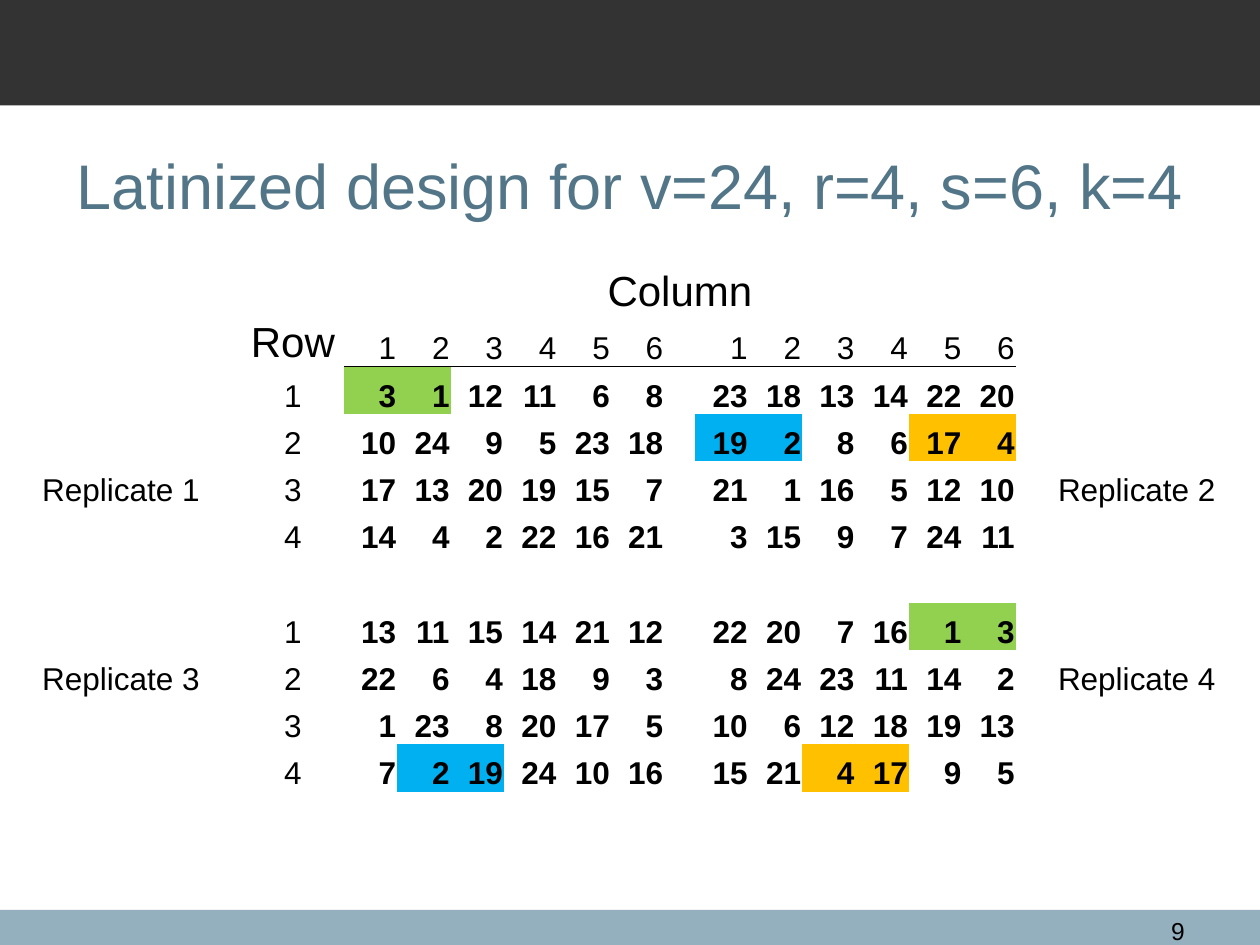
from lxml import etree
from pptx import Presentation
from pptx.dml.color import RGBColor
from pptx.enum.shapes import MSO_SHAPE
from pptx.enum.text import MSO_ANCHOR, PP_ALIGN
from pptx.oxml.ns import qn
from pptx.util import Pt

RECTANGLE = MSO_SHAPE.RECTANGLE
LEFT, CENTER, RIGHT = PP_ALIGN.LEFT, PP_ALIGN.CENTER, PP_ALIGN.RIGHT
TOP, MIDDLE, BOTTOM = MSO_ANCHOR.TOP, MSO_ANCHOR.MIDDLE, MSO_ANCHOR.BOTTOM

BLACK = RGBColor(0x00, 0x00, 0x00)
DARK_GRAY = RGBColor(0x33, 0x33, 0x33)
BLUE_GRAY = RGBColor(0x94, 0xB0, 0xBE)
STEEL_BLUE = RGBColor(0x52, 0x76, 0x88)
GREEN = RGBColor(0x92, 0xD0, 0x50)
BLUE = RGBColor(0x00, 0xB0, 0xF0)
ORANGE = RGBColor(0xFF, 0xC0, 0x00)

NO_STYLE_NO_GRID = "{2D5ABB26-0587-4C30-8999-92F81FD0307C}"

# Each replicate has one line per row of the design.
REPLICATES = [
    ["3 1 12 11 6 8", "10 24 9 5 23 18", "17 13 20 19 15 7", "14 4 2 22 16 21"],
    ["23 18 13 14 22 20", "19 2 8 6 17 4", "21 1 16 5 12 10", "3 15 9 7 24 11"],
    ["13 11 15 14 21 12", "22 6 4 18 9 3", "1 23 8 20 17 5", "7 2 19 24 10 16"],
    ["22 20 7 16 1 3", "8 24 23 11 14 2", "10 6 12 18 19 13", "15 21 4 17 9 5"],
]
# Treatment pairs that are neighbours in more than one replicate
PAIR_COLORS = {
    frozenset(["1", "3"]): GREEN,
    frozenset(["2", "19"]): BLUE,
    frozenset(["4", "17"]): ORANGE,
}
BLOCK_COLUMNS = [2, 9]
BLOCK_ROWS = [2, 7]
LABEL_ROWS = [4, 8]
LABEL_COLUMNS = [0, 15]


def write(frame, text, align, **font_format):
    paragraph = frame.paragraphs[0]
    paragraph.alignment = align
    run = paragraph.add_run()
    run.text = text
    color = font_format.pop("color", BLACK)
    for attribute, value in {"name": "Arial", "size": Pt(18), **font_format}.items():
        setattr(run.font, attribute, value)
    run.font.color.rgb = color


presentation = Presentation()
presentation.slide_width, presentation.slide_height = Pt(720), Pt(540)
slide = presentation.slides.add_slide(presentation.slide_layouts[6])

for top, height, color in [(520, 20, BLUE_GRAY), (0, 60.3, DARK_GRAY)]:
    band = slide.shapes.add_shape(RECTANGLE, 0, Pt(top), Pt(720), Pt(height))
    band.shadow.inherit = False
    band.fill.solid()
    band.fill.fore_color.rgb = color
    band.line.fill.background()

for text, box, anchor, align, size, color in [
    ("Latinized design for v=24, r=4, s=6, k=4", (36.7, 60.5, 648, 90),
     MIDDLE, LEFT, 36, STEEL_BLUE),
    ("9", (638, 520, 46, 17), TOP, RIGHT, 14, BLACK),
]:
    frame = slide.shapes.add_textbox(*map(Pt, box)).text_frame
    frame.word_wrap = True
    frame.vertical_anchor = anchor
    write(frame, text, align, size=Pt(size), color=color)

# Table grid: replicate label, row number, six columns, gap, six columns, label
column_widths = [138.2, 58.3] + [30.55] * 6 + [17.7] + [30.55] * 6 + [138.2]
row_count, row_height = 12, 27
design = slide.shapes.add_table(
    row_count, len(column_widths), 0, Pt(150.5),
    Pt(sum(column_widths)), Pt(row_count * row_height),
).table
design.first_row = design.horz_banding = False
design._tbl.tblPr.find(qn("a:tableStyleId")).text = NO_STYLE_NO_GRID
for column, width in zip(design.columns, column_widths):
    column.width = Pt(width)
for row in design.rows:
    row.height = Pt(row_height)

cell_format = {
    "margin_left": Pt(0.7), "margin_top": Pt(0.7), "margin_right": Pt(0.7),
    "margin_bottom": 0, "vertical_anchor": BOTTOM,
}
for cell in design.iter_cells():
    for attribute, value in cell_format.items():
        setattr(cell, attribute, value)
    cell.fill.background()

design.cell(0, 2).merge(design.cell(0, 14))
write(design.cell(0, 2).text_frame, "Column", CENTER, size=Pt(24))
write(design.cell(1, 1).text_frame, "Row", CENTER, size=Pt(24))

# Rule below the column numbers
for column in range(2, 15):
    border = etree.Element(qn("a:lnB"), w=str(Pt(0.5)))
    line_fill = etree.SubElement(border, qn("a:solidFill"))
    etree.SubElement(line_fill, qn("a:srgbClr"), val=str(BLACK))
    design.cell(1, column)._tc.get_or_add_tcPr().insert(0, border)

for first_column in BLOCK_COLUMNS:
    for number in range(6):
        write(design.cell(1, first_column + number).text_frame, str(number + 1), RIGHT)
for first_row in BLOCK_ROWS:
    for number in range(4):
        write(design.cell(first_row + number, 1).text_frame, str(number + 1), CENTER)

for index, replicate in enumerate(REPLICATES):
    block_row, block_column = divmod(index, 2)
    label = design.cell(LABEL_ROWS[block_row], LABEL_COLUMNS[block_column])
    write(label.text_frame, f"Replicate {index + 1}", CENTER)
    for row, line in enumerate(replicate, BLOCK_ROWS[block_row]):
        treatments = line.split()
        cells = [design.cell(row, BLOCK_COLUMNS[block_column] + i) for i in range(6)]
        for cell, treatment in zip(cells, treatments):
            write(cell.text_frame, treatment, RIGHT, bold=True)
        for i in range(5):
            color = PAIR_COLORS.get(frozenset(treatments[i:i + 2]))
            if color:
                for cell in cells[i:i + 2]:
                    cell.fill.solid()
                    cell.fill.fore_color.rgb = color

presentation.save("out.pptx")
